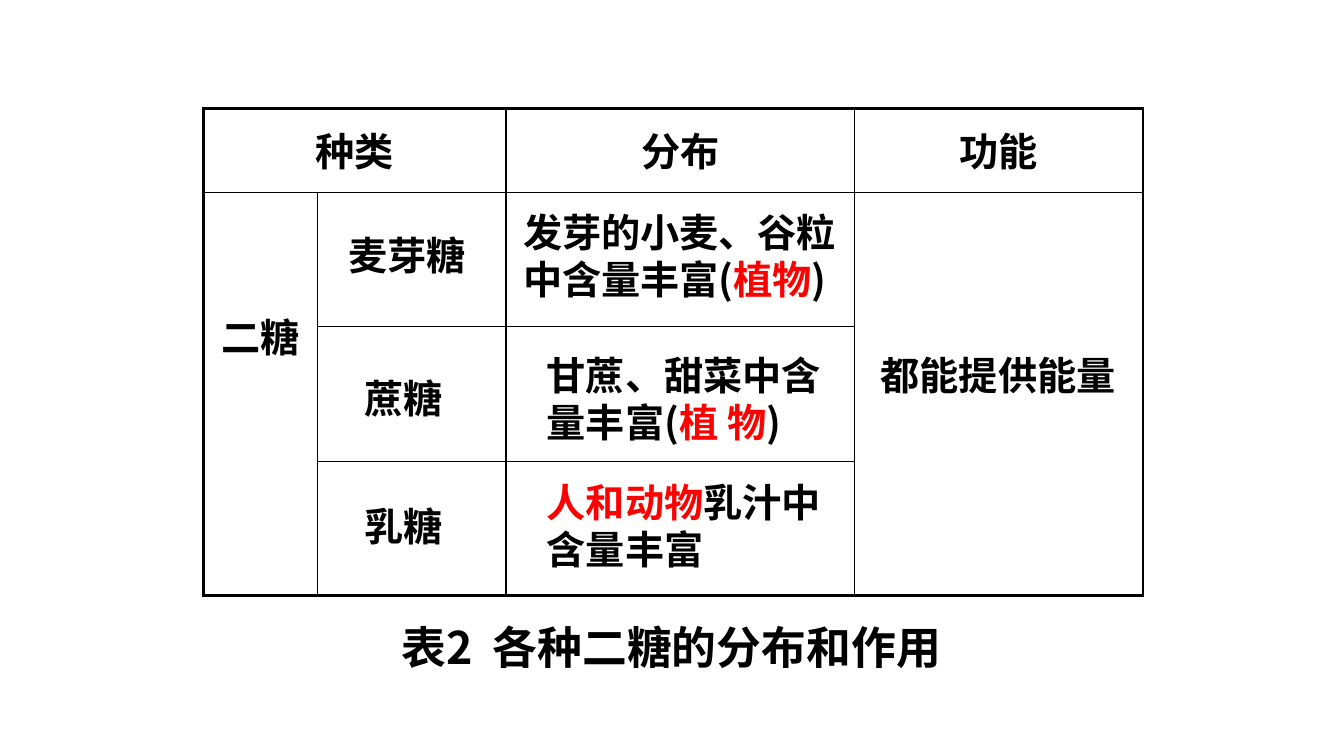
import pptx
import pptx.util
import pptx.dml.color
import pptx.enum.text
import pptx.oxml.ns
import lxml.etree

Pt = pptx.util.Pt
RGB = pptx.dml.color.RGBColor
BLACK = RGB(0, 0, 0)
RED = RGB(255, 0, 0)
SANS = "Noto Sans CJK SC"
ALIGN = pptx.enum.text.PP_ALIGN
ANCHOR = pptx.enum.text.MSO_ANCHOR
FIT = pptx.enum.text.MSO_AUTO_SIZE
qn = pptx.oxml.ns.qn


class Deck:
    def __init__(self):
        self.show = pptx.Presentation()
        self.show.slide_width = Pt(960)
        self.show.slide_height = Pt(540)
        self.slide = self.show.slides.add_slide(self.show.slide_layouts[5])
        self.style = {"size": Pt(28), "bold": True, "name": SANS}

    def fill(self, para, parts, **extra):
        for text, color in parts:
            run = para.add_run()
            run.text = text
            for key, value in {**self.style, **extra}.items():
                setattr(run.font, key, value)
            run.font.color.rgb = color
            font = lxml.etree.SubElement(run._r.get_or_add_rPr(), qn("a:ea"))
            font.set("typeface", SANS)

    def title(self, box, parts, gap):
        shape = self.slide.shapes.title
        for key, value in zip(("left", "top", "width", "height"), box):
            setattr(shape, key, Pt(value))
        frame = shape.text_frame
        frame.vertical_anchor = ANCHOR.BOTTOM
        frame.auto_size = FIT.NONE
        para = frame.paragraphs[0]
        para.alignment = ALIGN.CENTER
        self.fill(para, [(part, BLACK) for part in parts], size=Pt(32))
        para.runs[1]._r.get_or_add_rPr().set("spc", str(gap * 100))

    def text(self, box, parts, wrap=True):
        frame = self.slide.shapes.add_textbox(*map(Pt, box)).text_frame
        frame.word_wrap = wrap
        frame.auto_size = FIT.SHAPE_TO_FIT_TEXT
        self.fill(frame.paragraphs[0], parts)

    def border(self, cell, widths):
        props = cell._tc.get_or_add_tcPr()
        for side, width in zip("LRTB", widths):
            line = lxml.etree.SubElement(props, qn("a:ln" + side))
            line.set("w", str(int(Pt(width))))
            ink = lxml.etree.SubElement(line, qn("a:solidFill"))
            lxml.etree.SubElement(ink, qn("a:srgbClr")).set("val", str(BLACK))

    def table(self, place, cols, rows, spans, words):
        shape = self.slide.shapes.add_table(
            len(rows), len(cols), *map(Pt, place), Pt(sum(cols)), Pt(sum(rows)))
        grid = shape.table
        grid.first_row = grid.horz_banding = False
        for col, width in zip(grid.columns, cols):
            col.width = Pt(width)
        for row, height in zip(grid.rows, rows):
            row.height = Pt(height)
        for start, end in spans:
            grid.cell(*start).merge(grid.cell(*end))
        for r in range(len(rows)):
            for c in range(len(cols)):
                cell = grid.cell(r, c)
                if cell.is_spanned:
                    continue
                wide = cell.span_width if cell.is_merge_origin else 1
                tall = cell.span_height if cell.is_merge_origin else 1
                edges = (c == 0, c + wide == len(cols), r == 0, r + tall == len(rows))
                self.border(cell, [2.25 if edge else 1 for edge in edges])
                cell.fill.background()
        for (r, c), (word, top, face) in words.items():
            cell = grid.cell(r, c)
            cell.margin_top = Pt(top)
            para = cell.text_frame.paragraphs[0]
            para.alignment = ALIGN.CENTER
            self.fill(para, [(word, BLACK)], name=face)


def main():
    deck = Deck()
    deck.table(
        (145.5, 77.5), (81.5, 134.5, 249, 206), (60, 96, 96, 96),
        [((0, 0), (0, 1)), ((1, 0), (3, 0)), ((1, 3), (3, 3))],
        {(0, 0): ("种类", 9, "Arial"), (0, 2): ("分布", 9, "Arial"),
         (0, 3): ("功能", 9, "Arial"), (1, 0): ("二糖", 82, SANS)})
    deck.text((242, 162, 153, 41), [("麦芽糖", BLACK)])
    deck.text((253.5, 264, 108, 41), [("蔗糖", BLACK)])
    deck.text((253.5, 355, 70.5, 41), [("乳糖", BLACK)], False)
    deck.text((366.5, 145.5, 255.5, 75),
              [("发芽的小麦、谷粒中含量丰富(", BLACK), ("植物", RED), (")", BLACK)])
    deck.text((383.5, 247.5, 229, 75),
              [("甘蔗、甜菜中含量丰富(", BLACK), ("植 物", RED), (")", BLACK)])
    deck.text((383.5, 338, 229, 75), [("人和动物", RED), ("乳汁中含量丰富", BLACK)])
    deck.text((622, 247.5, 183.5, 41), [("都能提供能量", BLACK)], False)
    deck.title((173.5, 417.5, 612, 67), ("表2", " ", "各种二糖的分布和作用"), 7)
    deck.show.save("out.pptx")


if __name__ == "__main__":
    main()
